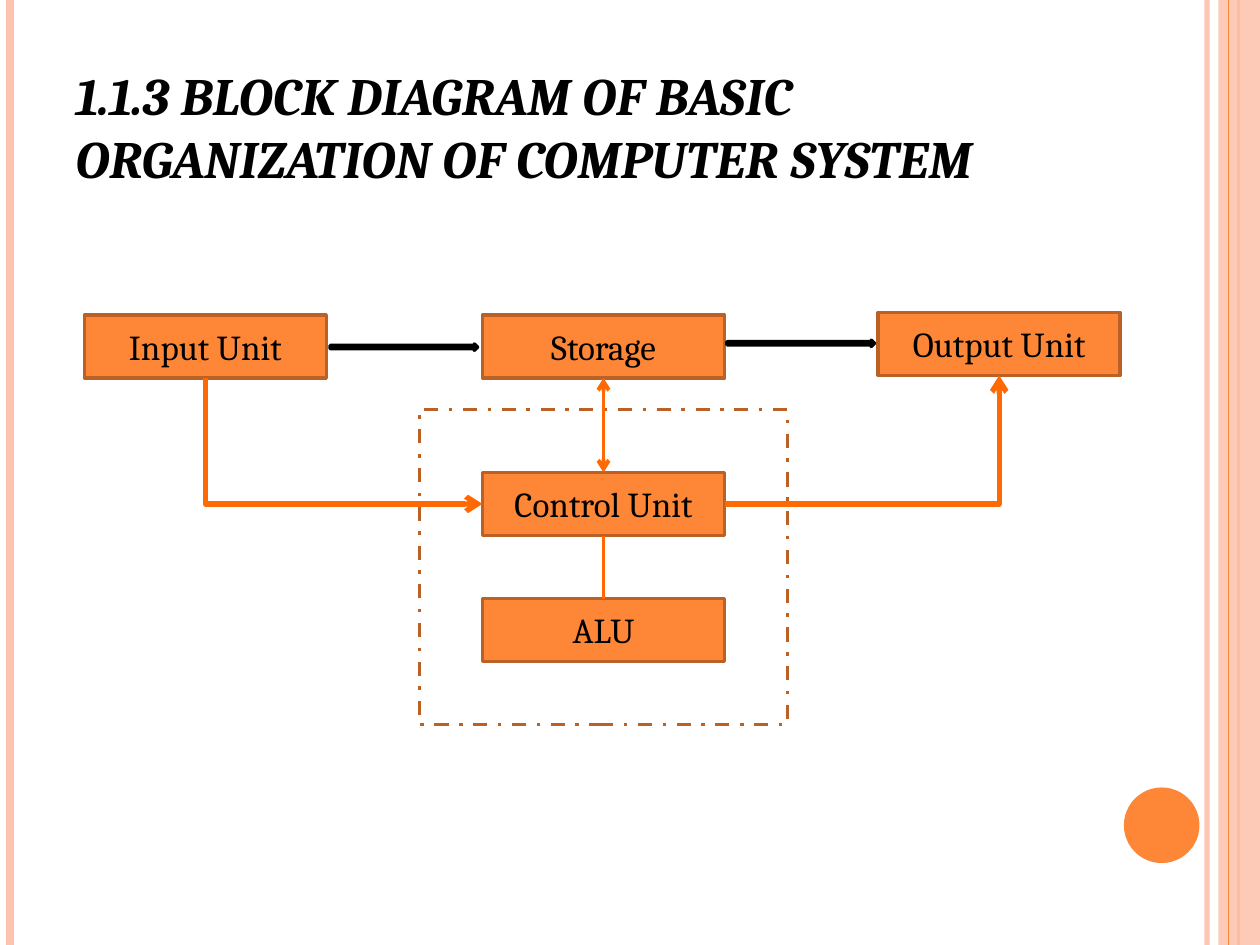
from dataclasses import dataclass

from pptx import Presentation
from pptx.dml.color import RGBColor
from pptx.enum.dml import MSO_LINE
from pptx.enum.shapes import MSO_CONNECTOR, MSO_SHAPE
from pptx.enum.text import MSO_ANCHOR, MSO_AUTO_SIZE, PP_ALIGN
from pptx.oxml.ns import qn
from pptx.oxml.xmlchemy import OxmlElement
from pptx.util import Inches, Pt


@dataclass(frozen=True)
class Theme:
    font: str = "Cambria"
    ink: str = "000000"
    main: str = "FE8637"
    edge: str = "BB6126"
    pale: str = "FEC3AE"
    wire: str = "FF6903"
    title: int = 30
    label: int = 20


THEME = Theme()
SIZE = (1.92, 0.5)
COL = 3.83  # left edge of the middle column


def style(item, form):
    for key, value in form.items():
        setattr(item, key, value)


def color(text):
    return RGBColor.from_string(text)


def fade(fill, share):
    """Set the opacity of a solid fill, in percent."""
    alpha = OxmlElement("a:alpha")
    alpha.set("val", str(share * 1000))
    fill.find(".//" + qn("a:srgbClr")).append(alpha)


def write(frame, text, align, **form):
    frame.text = text
    para = frame.paragraphs[0]
    para.alignment = align
    style(para.font, {"name": THEME.font, **form})
    para.font.color.rgb = color(THEME.ink)


def shape(slide, kind, box, fill=None, line=None):
    item = slide.shapes.add_shape(kind, *map(Inches, box))
    item.shadow.inherit = False
    if fill:
        item.fill.solid()
        item.fill.fore_color.rgb = color(fill)
    else:
        item.fill.background()
    if line:
        item.line.color.rgb = color(line)
        item.line.width = Pt(2)
    else:
        item.line.fill.background()
    return item


def block(slide, text, left, top):
    item = shape(slide, MSO_SHAPE.RECTANGLE, (left, top, *SIZE),
                 THEME.main, THEME.edge)
    style(item.text_frame, {"word_wrap": True,
                            "vertical_anchor": MSO_ANCHOR.MIDDLE})
    write(item.text_frame, text, PP_ALIGN.CENTER, size=Pt(THEME.label))
    return item


def stroke(slide, kind, ends, tint, width):
    item = slide.shapes.add_connector(kind, *map(Inches, ends))
    item.line.color.rgb = color(tint)
    item.line.width = Pt(width)
    item._element.spPr.append(OxmlElement("a:effectLst"))
    return item


def rule(slide, left, tint, width):
    return stroke(slide, MSO_CONNECTOR.STRAIGHT, (left, 0, left, 7.5),
                  tint, width)


def wire(slide, start, end, width, heads=(), bent=False):
    """Join two (block, side) pairs; heads lists headEnd and tailEnd."""
    kind = MSO_CONNECTOR.ELBOW if bent else MSO_CONNECTOR.STRAIGHT
    item = stroke(slide, kind, (0, 0, 1, 1), THEME.wire, width)
    item.begin_connect(*start)
    item.end_connect(*end)
    props = item._element.spPr
    if bent:  # a single corner
        props.find(qn("a:prstGeom")).set("prst", "bentConnector2")
    for name in heads:
        tip = OxmlElement("a:" + name)
        tip.set("type", "arrow")
        props.find(qn("a:ln")).append(tip)


def decor(slide):
    fade(rule(slide, 9.58, THEME.pale, 3)._element.spPr, 93)
    rule(slide, 0.08, THEME.pale, 4.5)
    rule(slide, 9.83, THEME.main, 1.5)
    band = shape(slide, MSO_SHAPE.RECTANGLE, (9.67, 0, 0.33, 7.5), THEME.pale)
    fade(band._element.spPr, 87)
    rule(slide, 9.75, THEME.main, 0.75)
    shape(slide, MSO_SHAPE.OVAL, (8.92, 6.25, 0.6, 0.6), THEME.main)


def head(slide):
    title = slide.shapes.title
    style(title, {"left": Inches(0.5), "top": Inches(0.3),
                  "width": Inches(8.17), "height": Inches(1.25)})
    style(title.text_frame, {"word_wrap": True,
                             "auto_size": MSO_AUTO_SIZE.NONE,
                             "vertical_anchor": MSO_ANCHOR.BOTTOM})
    write(title.text_frame,
          "1.1.3 BLOCK DIAGRAM OF BASIC ORGANIZATION OF COMPUTER SYSTEM",
          PP_ALIGN.LEFT, size=Pt(THEME.title), bold=True, italic=True)


def chart(slide):
    # Units
    entry = block(slide, "Input Unit", 0.67, 2.5)
    out = block(slide, "Output Unit", 6.97, 2.48)
    store, ctrl, alu = (
        block(slide, text, COL, top)
        for text, top in (("Storage", 2.5), ("Control Unit", 3.75),
                          ("ALU", 4.75)))

    # Data flow
    for left, top in ((2.62, 2.73), (5.77, 2.7)):
        shape(slide, MSO_SHAPE.RIGHT_ARROW, (left, top, 1.17, 0.05),
              THEME.ink, THEME.ink)

    # Processor frame
    frame = shape(slide, MSO_SHAPE.RECTANGLE, (3.33, 3.25, 2.92, 2.5),
                  line=THEME.edge)
    frame.line.dash_style = MSO_LINE.DASH_DOT

    # Control flow
    wire(slide, (ctrl, 3), (out, 2), 3, ["tailEnd"], bent=True)
    wire(slide, (ctrl, 1), (entry, 2), 3, ["headEnd"], bent=True)
    wire(slide, (store, 2), (ctrl, 0), 2.25, ["headEnd", "tailEnd"])
    wire(slide, (ctrl, 2), (alu, 0), 2.25)


def main():
    deck = Presentation()
    style(deck, {"slide_width": Inches(10), "slide_height": Inches(7.5)})
    slide = deck.slides.add_slide(deck.slide_layouts[5])
    decor(slide)
    head(slide)
    chart(slide)
    deck.save("out.pptx")


if __name__ == "__main__":
    main()
